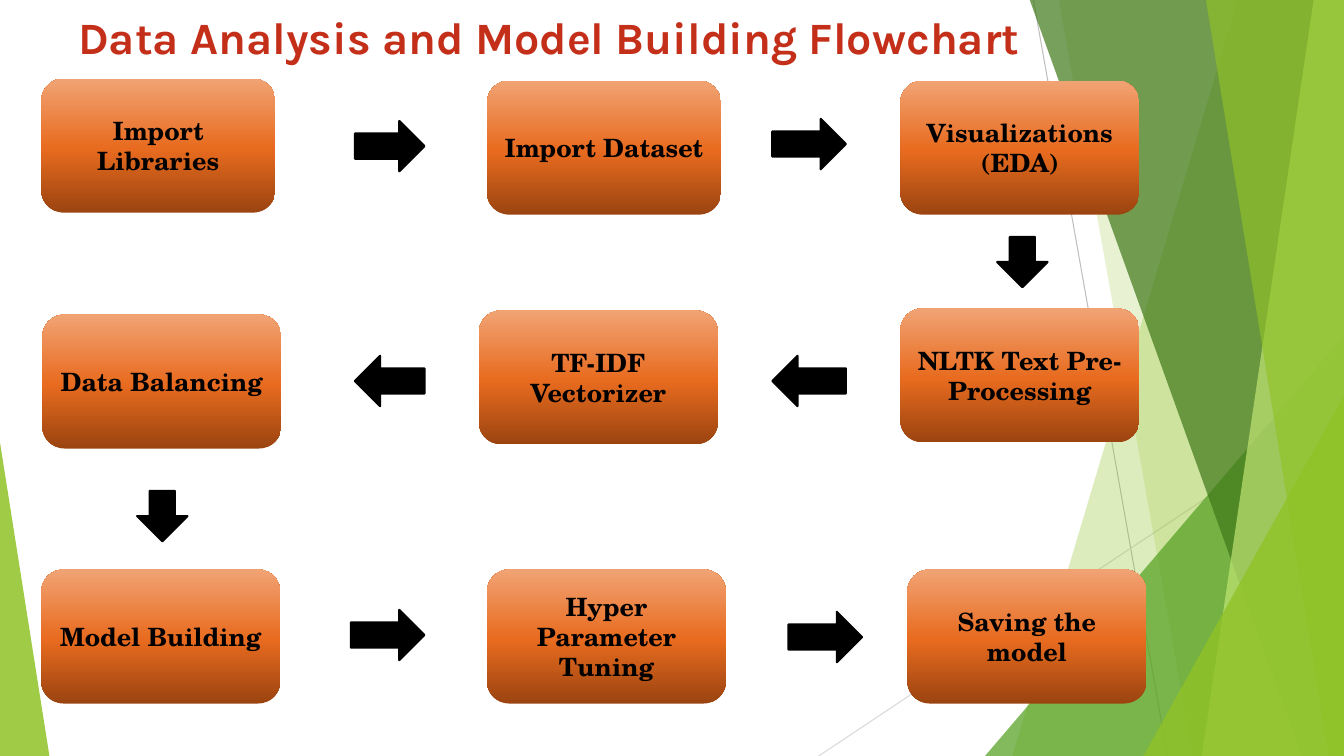
from copy import deepcopy

from lxml import etree
from pptx import Presentation
from pptx.dml.color import RGBColor
from pptx.enum.shapes import MSO_CONNECTOR, MSO_SHAPE
from pptx.enum.text import MSO_ANCHOR, MSO_AUTO_SIZE, PP_ALIGN
from pptx.oxml.ns import qn
from pptx.util import Pt

PX = 9144  # 100 px to the inch
WIDE, HIGH = 1333, 750
BOX = MSO_SHAPE.FLOWCHART_ALTERNATE_PROCESS
TRI = MSO_SHAPE.ISOSCELES_TRIANGLE
RIGHT, LEFT, DOWN = MSO_SHAPE.RIGHT_ARROW, MSO_SHAPE.LEFT_ARROW, MSO_SHAPE.DOWN_ARROW
LINE = MSO_CONNECTOR.STRAIGHT
CENTER = PP_ALIGN.CENTER
MIDDLE, TOP = MSO_ANCHOR.MIDDLE, MSO_ANCHOR.TOP
GROW = MSO_AUTO_SIZE.SHAPE_TO_FIT_TEXT

BLACK = "000000"
HEAT = [(0, "9B4410"), (0.48, "E86B1F"), (1, "F1A374")]

# Lines: x1, y1, x2, y2, colour
RAYS = [(1025, 0, 1158, 750, "BFBFBF"), (1333, 403, 812, 750, "D9D9D9")]

# Bands reach the right edge: top x, bottom x, colour, opacity
# Wedges: left, top, width, height, peak, colour, opacity
BACK = [(1228, 1004, "90C226", 30), (1050, 1183, "90C226", 20)]
LOW = (977, 333, 356, 417, 1, "54A021", 72)
FRONT = [(1021, 1291, "3F7819", 70), (1303, 1192, "C0E474", 70),
         (1196, 1318, "90C226", 65)]
SIDES = [(1134, 393, 199, 357, 1, "90C226", 80), (0, 439, 49, 311, 0, "90C226", 85)]

# Steps: left, top, width, text
STEPS = [
    (41, 78, 232, "Import Libraries"),
    (483, 80, 232, "Import Dataset"),
    (893, 80, 237, "Visualizations\n(EDA)"),
    (893, 306, 237, "NLTK Text Pre-Processing"),
    (475, 308, 237, "TF-IDF Vectorizer"),
    (42, 312, 237, "Data Balancing"),
    (41, 565, 237, "Model Building"),
    (483, 565, 237, "Hyper Parameter Tuning"),
    (900, 565, 237, "Saving the model"),
]

# Arrows: kind, left, top, width
ARROWS = [
    (RIGHT, 352, 120, 69), (RIGHT, 766, 118, 73), (DOWN, 989, 235, 50),
    (LEFT, 766, 353, 73), (LEFT, 352, 353, 69), (DOWN, 136, 487, 50),
    (RIGHT, 348, 605, 73), (RIGHT, 782, 607, 73),
]


def rgb(code):
    return RGBColor.from_string(code)


def paint(shape, code, alpha=100):
    shape.shadow.inherit = False
    shape.fill.solid()
    shape.fill.fore_color.rgb = rgb(code)
    shape.line.fill.background()
    if alpha < 100:
        tint = shape._element.spPr.find(qn("a:solidFill"))[0]
        etree.SubElement(tint, qn("a:alpha"), val=str(alpha * 1000))


def blend(shape, stops):
    shape.fill.gradient()
    shape.fill.gradient_angle = 90
    group = shape._element.spPr.find(qn("a:gradFill")).find(qn("a:gsLst"))
    group.append(deepcopy(group[0]))
    for stop, (place, code) in zip(shape.fill.gradient_stops, stops):
        stop.position = place
        stop.color.rgb = rgb(code)


def style(frame, name, size, code):
    for para in frame.paragraphs:
        para.alignment = CENTER
        para.font.name = name
        para.font.size = Pt(size)
        para.font.bold = True
        para.font.color.rgb = rgb(code)


def add(shapes, kind, x, y, w, h):
    return shapes.add_shape(kind, x * PX, y * PX, w * PX, h * PX)


def ray(shapes, x1, y1, x2, y2, code):
    line = shapes.add_connector(LINE, x1 * PX, y1 * PX, x2 * PX, y2 * PX)
    line.line.color.rgb = rgb(code)
    line.line.width = Pt(0.75)
    etree.SubElement(line._element.spPr, qn("a:effectLst"))


def band(shapes, top, base, code, alpha):
    pen = shapes.build_freeform(top, -1, scale=PX)
    pen.add_line_segments([(WIDE, -1), (WIDE, HIGH), (base, HIGH)], close=True)
    paint(pen.convert_to_shape(), code, alpha)


def wedge(shapes, x, y, w, h, peak, code, alpha):
    shape = add(shapes, TRI, x, y, w, h)
    shape.adjustments[0] = peak
    paint(shape, code, alpha)


def step(shapes, x, y, w, text):
    shape = add(shapes, BOX, x, y, w, 133)
    paint(shape, HEAT[1][1])
    blend(shape, HEAT)
    frame = shape.text_frame
    frame.text = text
    frame.word_wrap = True
    frame.vertical_anchor = MIDDLE
    style(frame, "TeX Gyre Schola", 18, BLACK)


def arrow(shapes, kind, x, y, w):
    shape = add(shapes, kind, x, y, w, 50)
    paint(shape, BLACK)
    shape.line.color.rgb = rgb(BLACK)
    shape.line.width = Pt(1.5)


def head(shapes, text):
    title = shapes.title
    title.left, title.top, title.width, title.height = 0, 5 * PX, 1090 * PX, 94 * PX
    frame = title.text_frame
    frame.text = text
    frame.word_wrap = True
    frame.auto_size = GROW
    frame.vertical_anchor = TOP
    style(frame, "Karla", 32, "C42F1A")
    # Bring the title in front of the backdrop
    shapes._spTree.append(title._element)


def main():
    deck = Presentation()
    deck.slide_width, deck.slide_height = WIDE * PX, HIGH * PX
    shapes = deck.slides.add_slide(deck.slide_layouts[5]).shapes

    # Green backdrop
    for item in RAYS:
        ray(shapes, *item)
    for item in BACK:
        band(shapes, *item)
    wedge(shapes, *LOW)
    for item in FRONT:
        band(shapes, *item)
    for item in SIDES:
        wedge(shapes, *item)

    # Title and flowchart
    head(shapes, "Data Analysis and Model Building Flowchart")
    for item in STEPS:
        step(shapes, *item)
    for item in ARROWS:
        arrow(shapes, *item)

    deck.save("out.pptx")


if __name__ == "__main__":
    main()
